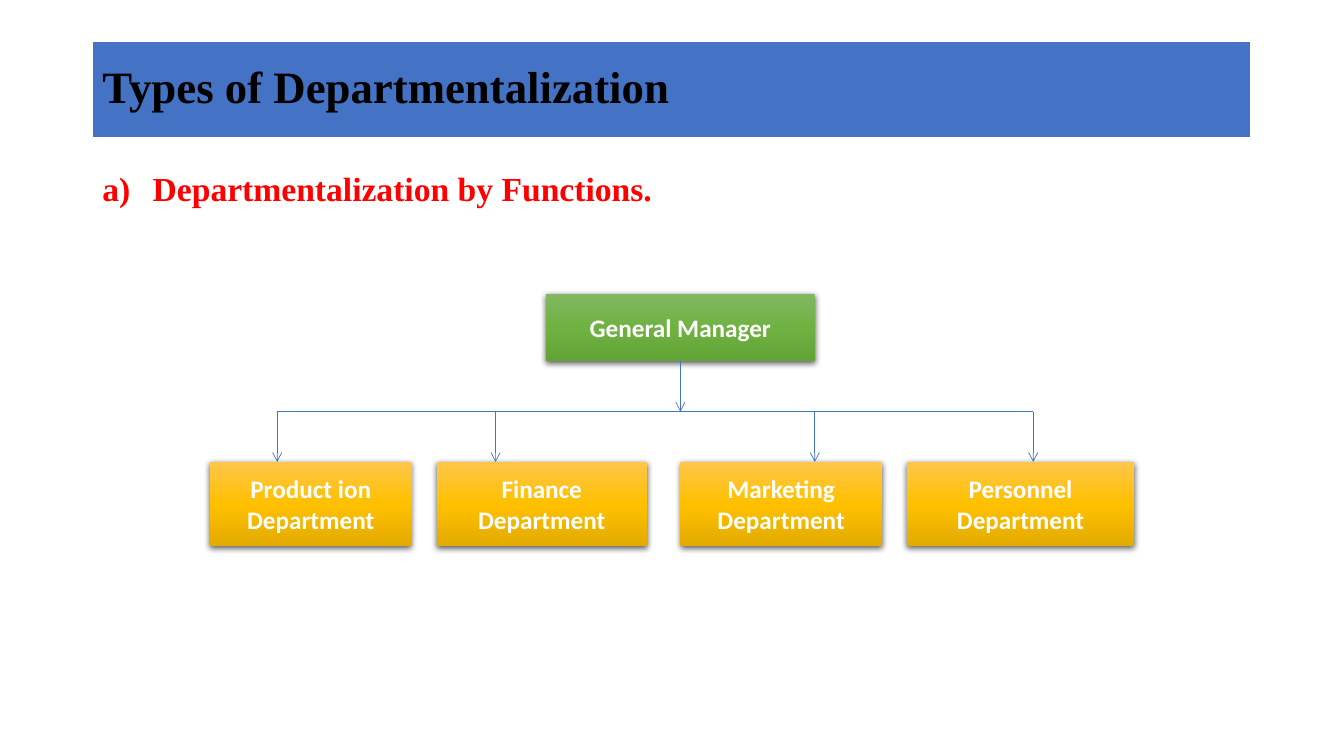
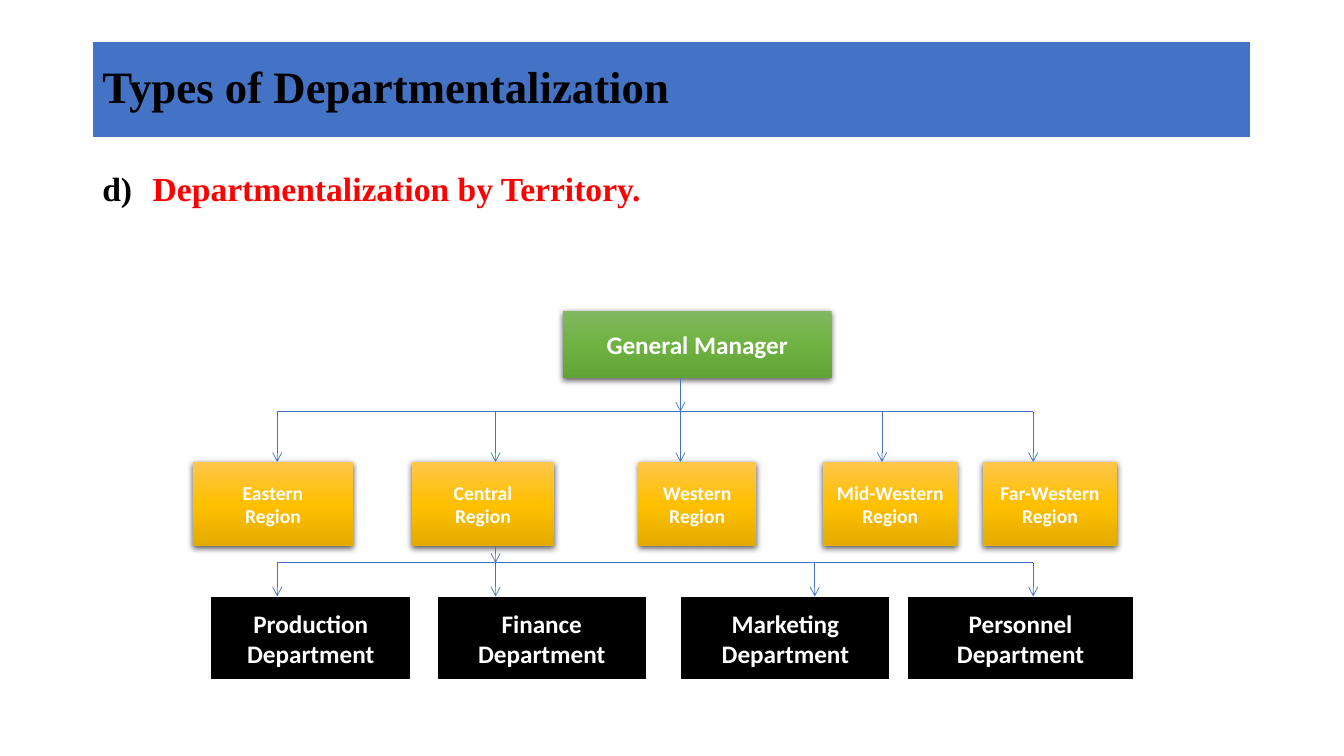
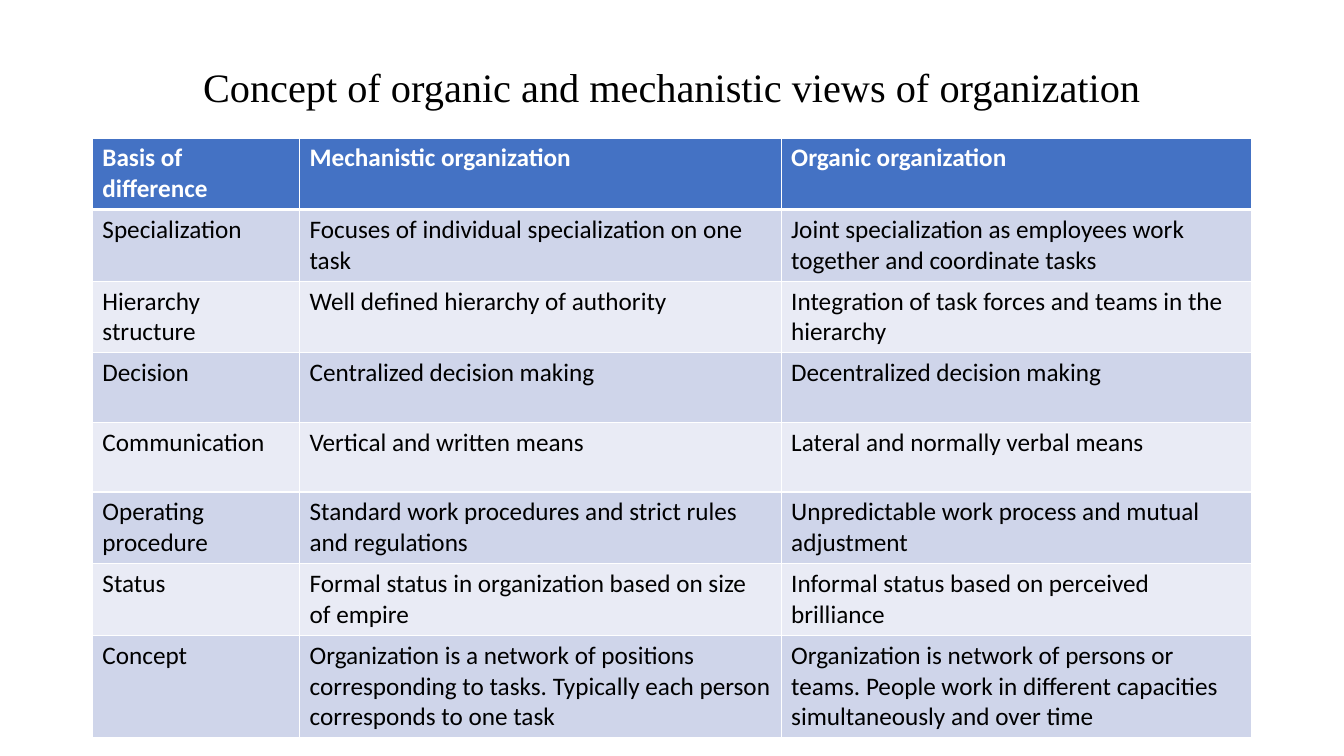
from lxml.etree import SubElement
from pptx import Presentation
from pptx.dml.color import RGBColor
from pptx.enum.shapes import MSO_CONNECTOR, MSO_SHAPE
from pptx.enum.text import MSO_ANCHOR, MSO_AUTO_SIZE, PP_ALIGN
from pptx.oxml.ns import qn
from pptx.util import Pt

BLACK, WHITE, RED, BLUE = "000000", "FFFFFF", "FF0000", "4472C4"
GREEN_GRADIENT = ("81B861", "6FB242", "62A336")
GOLD_GRADIENT = ("FFC64B", "FFC000", "E3AB00")
BAND_FILLS = ("CFD5EA", "E9EBF5")
SERIF, SANS = "Times New Roman", "Calibri"
LEFT, WIDTH = 66, 828
BOX_HEIGHT = 60
RAIL_TOP, BOX_TOP = 294, 330

# Left edge and width of each department box
DEPARTMENT_COLUMNS = ((150, 144), (312, 150), (486, 144), (648, 162))
DEPARTMENT_DROPS = (198, 354, 582, 738)


def color(value):
    """Turn a hex string into a colour."""
    return RGBColor.from_string(value)


def add_element(parent, tag, **attributes):
    """Append an XML child with the given attributes."""
    return SubElement(parent, qn(tag), {key: str(value) for key, value in attributes.items()})


def add_color(parent, value):
    """Append a colour to an XML fill, gradient stop or effect."""
    return add_element(parent, "a:srgbClr", val=value)


def set_font(font, name, size, value, bold=False):
    """Set face, size, colour and weight of a font."""
    font.name, font.size, font.bold = name, Pt(size), bold
    font.color.rgb = color(value)


class Deck:
    """Holds the presentation, its style and the current slide."""

    def __init__(self):
        """Start a widescreen presentation."""
        self.presentation = Presentation()
        self.presentation.slide_width, self.presentation.slide_height = Pt(960), Pt(540)
        self.slide = None

    def add_slide(self, title, size=32, band=True):
        """Add a slide with its title, on a blue band or plain and centred."""
        self.slide = self.presentation.slides.add_slide(self.presentation.slide_layouts[5])
        shape = self.slide.shapes.title
        shape.left, shape.top, shape.width, shape.height = Pt(LEFT), Pt(29), Pt(WIDTH), Pt(69.5)
        frame = shape.text_frame
        frame.text = title
        frame.word_wrap = True
        frame.auto_size = MSO_AUTO_SIZE.NONE
        frame.vertical_anchor = MSO_ANCHOR.MIDDLE
        paragraph = frame.paragraphs[0]
        paragraph.line_spacing = 0.9
        paragraph.alignment = PP_ALIGN.LEFT if band else PP_ALIGN.CENTER
        set_font(paragraph.font, SERIF, size, BLACK, bold=band)
        if band:
            self.fill_solid(shape, BLUE)

    def fill_solid(self, shape, value):
        """Give a shape a flat fill and a white outline."""
        shape.fill.solid()
        shape.fill.fore_color.rgb = color(value)
        shape.line.color.rgb = color(WHITE)
        shape.line.width = Pt(1.5)

    def fill_gradient(self, shape, values):
        """Give a shape a vertical three-stop gradient and a soft shadow."""
        shape.fill.gradient()
        shape.fill.gradient_angle = 270
        shape.line.fill.background()
        properties = shape._element.spPr
        stops = properties.find(".//" + qn("a:gsLst"))
        stops.clear()
        for position, value in zip((0, 50000, 100000), values):
            add_color(add_element(stops, "a:gs", pos=position), value)
        shadow = add_element(properties.find(qn("a:effectLst")), "a:outerShdw",
                             blurRad=Pt(4.5), dist=Pt(1.5), dir=5400000, rotWithShape=0)
        add_element(add_color(shadow, BLACK), "a:alpha", val=63000)

    def heading(self, text, marker=None):
        """Add the red list heading, lettered a) or with a typed black marker."""
        box = self.slide.shapes.add_textbox(Pt(LEFT), Pt(120), Pt(WIDTH), Pt(40))
        box.text_frame.word_wrap = True
        paragraph = box.text_frame.paragraphs[0]
        paragraph.alignment = PP_ALIGN.JUSTIFY
        paragraph.line_spacing, paragraph.space_before = 0.9, Pt(10)
        properties = paragraph._p.get_or_add_pPr()
        properties.set("marL", str(Pt(36)))
        properties.set("indent", str(-Pt(36)))
        runs = [(text, RED)]
        if marker:
            runs = [(marker, BLACK), ("\t" + text, RED)]
        else:
            add_element(properties, "a:buFont", typeface=SERIF)
            add_element(properties, "a:buAutoNum", type="alphaLcParenR")
        for content, value in runs:
            run = paragraph.add_run()
            run.text = content
            set_font(run.font, SERIF, 24, value, bold=True)

    def box(self, lines, left, top, width, height, fill, size=18):
        """Add a chart box; fill is one colour or a gradient of three."""
        shape = self.slide.shapes.add_shape(
            MSO_SHAPE.RECTANGLE, Pt(left), Pt(top), Pt(width), Pt(height))
        shape.shadow.inherit = False
        if isinstance(fill, str):
            self.fill_solid(shape, fill)
        else:
            self.fill_gradient(shape, fill)
        frame = shape.text_frame
        frame.word_wrap = True
        frame.vertical_anchor = MSO_ANCHOR.MIDDLE
        frame.text = "\n".join(lines)
        for paragraph in frame.paragraphs:
            paragraph.alignment = PP_ALIGN.CENTER
            set_font(paragraph.font, SANS, size, WHITE, bold=True)

    def manager(self, left, top):
        """Add the green box at the head of the chart."""
        self.box(["General Manager"], left, top, 192, 48, GREEN_GRADIENT)

    def box_row(self, names, kind, columns, top, fill, size=18):
        """Add a row of two-line boxes that share their second line."""
        for name, (left, width) in zip(names, columns):
            self.box([name, kind], left, top, width, BOX_HEIGHT, fill, size)

    def line(self, start_x, start_y, end_x, end_y, arrow=True):
        """Add a thin blue line, with an arrowhead at its end if asked."""
        connector = self.slide.shapes.add_connector(
            MSO_CONNECTOR.STRAIGHT, Pt(start_x), Pt(start_y), Pt(end_x), Pt(end_y))
        connector.line.color.rgb = color(BLUE)
        connector.line.width = Pt(0.5)
        if arrow:
            add_element(connector.line._get_or_add_ln(), "a:tailEnd", type="arrow")
        add_element(connector._element.spPr, "a:effectLst")

    def branches(self, stem_x, stem_top, rail_top, drops, bottom):
        """Connect a parent to its children: stem, rail and one arrow per drop."""
        self.line(drops[0], rail_top, drops[-1], rail_top, arrow=False)
        self.line(stem_x, stem_top, stem_x, rail_top)
        for drop in drops:
            self.line(drop, rail_top, drop, bottom)

    def cell(self, cell, text, fill, header):
        """Fill one table cell and draw its white borders."""
        cell.text = text
        properties = cell._tc.get_or_add_tcPr()
        for side in ("lnL", "lnR", "lnT", "lnB"):
            width = 3 if header and side == "lnB" else 1
            border = add_element(properties, "a:" + side, w=Pt(width))
            add_color(add_element(border, "a:solidFill"), WHITE)
        cell.fill.solid()
        cell.fill.fore_color.rgb = color(fill)
        set_font(cell.text_frame.paragraphs[0].font, SANS, 18,
                 WHITE if header else BLACK, bold=header)

    def table(self, rows, top, widths, heights):
        """Add a table with a blue header and banded rows."""
        table = self.slide.shapes.add_table(
            len(rows), len(widths), Pt(LEFT), Pt(top), Pt(sum(widths)), Pt(sum(heights))).table
        for column, width in zip(table.columns, widths):
            column.width = Pt(width)
        for index, (row, height) in enumerate(zip(rows, heights)):
            table.rows[index].height = Pt(height)
            header = index == 0
            fill = BLUE if header else BAND_FILLS[(index - 1) % 2]
            for column, text in enumerate(row):
                self.cell(table.cell(index, column), text, fill, header)


def functions_slide(deck):
    """Build the chart of departments by function."""
    deck.add_slide("Types of Departmentalization")
    deck.heading("Departmentalization by Functions.")
    deck.manager(390, 210)
    deck.box_row(("Product ion", "Finance", "Marketing", "Personnel"), "Department",
                 DEPARTMENT_COLUMNS, BOX_TOP, GOLD_GRADIENT)
    deck.branches(486, 258, RAIL_TOP, DEPARTMENT_DROPS, BOX_TOP)


def territory_slide(deck):
    """Build the chart of regions and the departments below them."""
    deck.add_slide("Types of Departmentalization")
    deck.heading("Departmentalization by Territory.", marker="d)")
    deck.manager(402, 222)
    region_columns = ((138, 114), (294, 102), (456, 84), (588, 96), (702, 96))
    deck.box_row(("Eastern", "Central", "Western", "Mid-Western", "Far-Western"), "Region",
                 region_columns, BOX_TOP, GOLD_GRADIENT, size=14)
    deck.branches(486, 270, RAIL_TOP, (198, 354, 486, 630, 738), BOX_TOP)
    department_columns = list(DEPARTMENT_COLUMNS)
    department_columns[2] = (486, 150)
    deck.box_row(("Production", "Finance", "Marketing", "Personnel"), "Department",
                 department_columns, 426, BLACK)
    deck.branches(354, BOX_TOP + BOX_HEIGHT, 402, DEPARTMENT_DROPS, 426)


def comparison_slide(deck):
    """Build the table that compares the two views of organization."""
    deck.add_slide("Concept of organic and mechanistic views of organization",
                   size=28.8, band=False)
    rows = (
        ("Basis of difference", "Mechanistic organization", "Organic organization"),
        ("Specialization", "Focuses of individual specialization on one task",
         "Joint specialization as employees work together and coordinate tasks"),
        ("Hierarchy structure", "Well defined hierarchy of authority",
         "Integration of task forces and teams in the hierarchy"),
        ("Decision", "Centralized decision making", "Decentralized decision making"),
        ("Communication", "Vertical and written means", "Lateral and normally verbal means"),
        ("Operating procedure", "Standard work procedures and strict rules and regulations",
         "Unpredictable work process and mutual adjustment"),
        ("Status", "Formal status in organization based on size of empire",
         "Informal status based on perceived brilliance"),
        ("Concept", "Organization is a network of positions corresponding to tasks. "
         "Typically each person corresponds to one task",
         "Organization is network of persons or teams. "
         "People work in different capacities simultaneously and over time"),
    )
    deck.table(rows, 98.5, (148, 344, 336), [49.7] * 7 + [65])


deck = Deck()
functions_slide(deck)
territory_slide(deck)
comparison_slide(deck)
deck.presentation.save("out.pptx")
